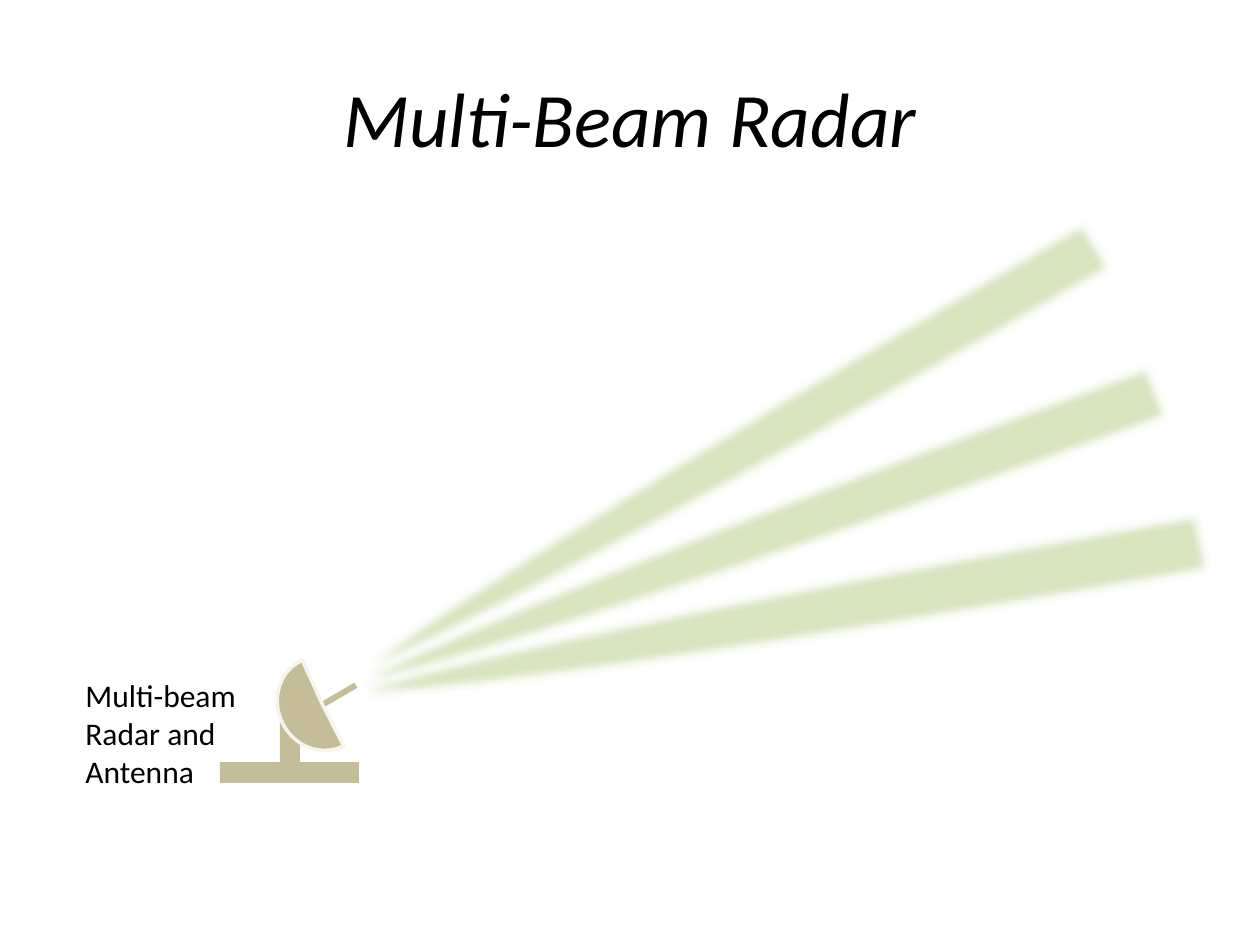
from dataclasses import dataclass

from lxml.etree import SubElement
from pptx import Presentation
from pptx.dml.color import RGBColor
from pptx.enum.shapes import MSO_SHAPE
from pptx.enum.text import MSO_ANCHOR, MSO_AUTO_SIZE, PP_ALIGN
from pptx.oxml.ns import qn
from pptx.shapes.autoshape import Shape
from pptx.util import Emu, Pt

SCALE = 914400 / 126


@dataclass(frozen=True)
class Theme:
    """Colours, type and line sizes of the slide."""
    font: str = "Calibri"
    ink: RGBColor = RGBColor(0x00, 0x00, 0x00)
    metal: RGBColor = RGBColor(0xC4, 0xBD, 0x97)
    rim: RGBColor = RGBColor(0xF5, 0xF4, 0xED)
    beam: RGBColor = RGBColor(0xD7, 0xE4, 0xBD)
    title: Pt = Pt(44)
    label: Pt = Pt(18)
    edge: Pt = Pt(2)
    blur: Pt = Pt(5)


@dataclass(frozen=True)
class Part:
    """A filled preset shape, placed in px and turned in degrees."""
    kind: MSO_SHAPE
    box: tuple[int, int, int, int]
    fill: RGBColor
    turn: float = 0
    arc: tuple[float, ...] = ()


THEME = Theme()
MAST = [
    Part(MSO_SHAPE.RECTANGLE, (301, 697, 59, 6), THEME.metal, 329.9),
    Part(MSO_SHAPE.RECTANGLE, (220, 762, 139, 21), THEME.metal),
    Part(MSO_SHAPE.RECTANGLE, (280, 710, 20, 53), THEME.metal),
]
DISH = Part(MSO_SHAPE.PIE, (278, 656, 88, 95), THEME.metal, 335.6, (52.4, 162))
BEAMS = [
    Part(MSO_SHAPE.CHORD, (left, top, 1690, 68), THEME.beam, turn, (23.6, 191.73))
    for left, top, turn in [(280, 370, 340), (322, 514, 350), (223, 229, 330)]
]


def px(count: int) -> Emu:
    """Turn px into EMU."""
    return Emu(round(count * SCALE))


def draw(shapes, part: Part) -> Shape:
    """Add one part without a line."""
    shape = shapes.add_shape(part.kind, *map(px, part.box))
    shape.shadow.inherit = False
    shape.rotation = part.turn
    for spot, angle in enumerate(part.arc):
        shape.adjustments[spot] = angle
    shape.fill.solid()
    shape.fill.fore_color.rgb = part.fill
    shape.line.fill.background()
    return shape


def soften(shape: Shape) -> None:
    """Blur the edge of a shape."""
    effects = shape.element.spPr.find(qn("a:effectLst"))
    SubElement(effects, qn("a:softEdge"), rad=str(int(THEME.blur)))


def write(para, text: str, size: Pt, slant: bool = False) -> None:
    """Add one run in the theme font."""
    run = para.add_run()
    run.text = text
    run.font.name = THEME.font
    run.font.size = size
    run.font.italic = slant
    run.font.color.rgb = THEME.ink


def head(shape: Shape, text: str) -> None:
    """Place and fill the title."""
    shape.left, shape.top, shape.width, shape.height = map(px, (63, 38, 1134, 158))
    frame = shape.text_frame
    frame.vertical_anchor = MSO_ANCHOR.MIDDLE
    para = frame.paragraphs[0]
    para.alignment = PP_ALIGN.CENTER
    write(para, text, THEME.title, True)


def label(shapes, lines: list[str]) -> None:
    """Add the label beside the antenna."""
    frame = shapes.add_textbox(*map(px, (73, 670, 221, 127))).text_frame
    frame.word_wrap = True
    frame.auto_size = MSO_AUTO_SIZE.SHAPE_TO_FIT_TEXT
    for spot, line in enumerate(lines):
        para = frame.add_paragraph() if spot else frame.paragraphs[0]
        write(para, line, THEME.label)


def main() -> None:
    """Build and save the slide."""
    deck = Presentation()
    deck.slide_width, deck.slide_height = px(1260), px(945)
    slide = deck.slides.add_slide(deck.slide_layouts[5])
    head(slide.shapes.title, "Multi-Beam Radar")
    radar = slide.shapes.add_group_shape()
    for part in MAST:
        draw(radar.shapes, part)
    dish = draw(radar.shapes, DISH)
    dish.line.color.rgb = THEME.rim
    dish.line.width = THEME.edge
    for beam in BEAMS:
        soften(draw(slide.shapes, beam))
    label(slide.shapes, ["Multi-beam", "Radar and Antenna"])
    deck.save("out.pptx")


if __name__ == "__main__":
    main()
